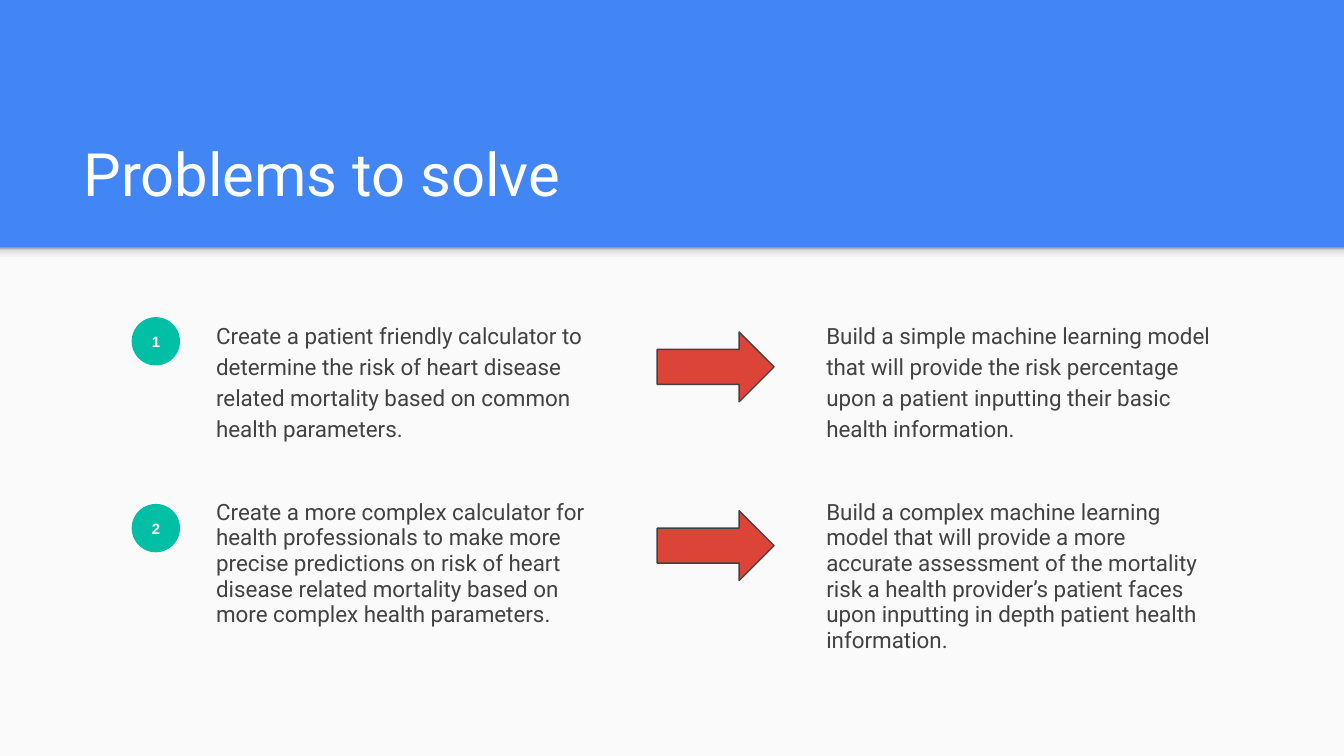
"""Build the "Problems to solve" slide: two problems, each with its approach."""
from copy import deepcopy
from dataclasses import dataclass

from pptx import Presentation
from pptx import util as u
from pptx.dml.color import RGBColor
from pptx.enum import shapes, text

COLS, ROWS = 100, 56.25
KIND = shapes.MSO_SHAPE


@dataclass(frozen=True)
class Theme:
    font: str = "Roboto"
    mark: str = "Arial"
    blue: str = "4285F4"
    paper: str = "FAFAFA"
    white: str = "FFFFFF"
    ink: str = "424242"
    teal: str = "00BFA5"
    red: str = "DB4437"
    fade: tuple = ((0, "F9F9F9"), (0.36, "F9F9F9"), (0.8, "DEDEDE"), (1, "999999"))
    head: int = 32
    body: int = 12
    tiny: int = 8


@dataclass(frozen=True)
class Box:
    left: float
    top: float
    width: float
    height: float

    def size(self) -> tuple:
        return tuple(u.Inches(n / 10) for n in (self.left, self.top, self.width, self.height))


@dataclass(frozen=True)
class Pair:
    goal: str
    plan: str
    top: float
    disc: float
    arrow: float
    lead: float


THEME = Theme()
PAIRS = (
    Pair("Create a patient friendly calculator to determine the risk of heart disease "
         "related mortality based on common health parameters.",
         "Build a simple machine learning model that will provide the risk percentage "
         "upon a patient inputting their basic health information.",
         22.7, 23.6, 24.7, 1.15),
    Pair("Create a more complex calculator for health professionals to make more precise "
         "predictions on risk of heart disease related mortality based on more complex "
         "health parameters.",
         "Build a complex machine learning model that will provide a more accurate "
         "assessment of the mortality risk a health provider’s patient faces upon "
         "inputting in depth patient health information.",
         36.2, 37.5, 38, 0.95),
)


def tint(code: str) -> RGBColor:
    return RGBColor.from_string(code)


def write(shape, words: str, *, size: int, color: str, font: str = THEME.font,
          bold: bool = False, align=text.PP_ALIGN.LEFT, anchor=text.MSO_ANCHOR.TOP,
          lead: float = 1, after: int = 0) -> None:
    frame = shape.text_frame
    frame.word_wrap = True
    frame.auto_size = text.MSO_AUTO_SIZE.NONE
    frame.vertical_anchor = anchor
    frame.margin_left = frame.margin_right = u.Inches(0.1)
    frame.margin_top = frame.margin_bottom = u.Inches(0.1)
    para = frame.paragraphs[0]
    para.alignment, para.line_spacing = align, lead
    para.space_before, para.space_after = u.Pt(0), u.Pt(after)
    run = para.add_run()
    run.text = words
    run.font.name, run.font.size, run.font.bold = font, u.Pt(size), bold
    run.font.color.rgb = tint(color)


def draw(slide, kind, box: Box, fill: str, line: str = ""):
    shape = slide.shapes.add_shape(kind, *box.size())
    shape.shadow.inherit = False
    shape.fill.solid()
    shape.fill.fore_color.rgb = tint(fill)
    if line:
        shape.line.color.rgb = tint(line)
        shape.line.width = u.Pt(0.75)
    else:
        shape.line.fill.background()
    return shape


def shade(shape, stops: tuple) -> None:
    shape.fill.gradient()
    shape.fill.gradient_angle = 90
    group = shape.element.xpath(".//a:gsLst")[0]
    for _ in stops[2:]:
        group.append(deepcopy(group[0]))
    for stop, (place, code) in zip(shape.fill.gradient_stops, stops):
        stop.position = place
        stop.color.rgb = tint(code)


def note(slide, left: float, top: float, words: str, lead: float) -> None:
    shape = slide.shapes.add_textbox(*Box(left, top, 31, 11.5).size())
    write(shape, words, size=THEME.body, color=THEME.ink, lead=lead, after=12)


def row(slide, index: int, pair: Pair) -> None:
    disc = draw(slide, KIND.OVAL, Box(9.8, pair.disc, 3.6, 3.6), THEME.teal)
    write(disc, str(index), size=THEME.tiny, color=THEME.white, font=THEME.mark, bold=True,
          align=text.PP_ALIGN.CENTER, anchor=text.MSO_ANCHOR.MIDDLE)
    note(slide, 15.1, pair.top, pair.goal, pair.lead)
    note(slide, 60.5, pair.top, pair.plan, pair.lead)
    draw(slide, KIND.RIGHT_ARROW, Box(48.9, pair.arrow, 8.7, 5.2), THEME.red, THEME.ink)


def main() -> None:
    deck = Presentation()
    deck.slide_width, deck.slide_height = u.Inches(COLS / 10), u.Inches(ROWS / 10)
    slide = deck.slides.add_slide(deck.slide_layouts[5])
    back = slide.background.fill
    back.solid()
    back.fore_color.rgb = tint(THEME.blue)

    edge = 18.4
    draw(slide, KIND.RECTANGLE, Box(0, edge, COLS, ROWS - edge), THEME.paper)
    shade(draw(slide, KIND.RECTANGLE, Box(0, edge, COLS, 1.2), THEME.paper), THEME.fade)

    title = slide.shapes.title
    title.left, title.top, title.width, title.height = Box(5.2, 8.1, 89.9, 8.4).size()
    write(title, "Problems to solve", size=THEME.head, color=THEME.white,
          anchor=text.MSO_ANCHOR.BOTTOM)
    for index, pair in enumerate(PAIRS, 1):
        row(slide, index, pair)
    deck.save("out.pptx")


if __name__ == "__main__":
    main()
